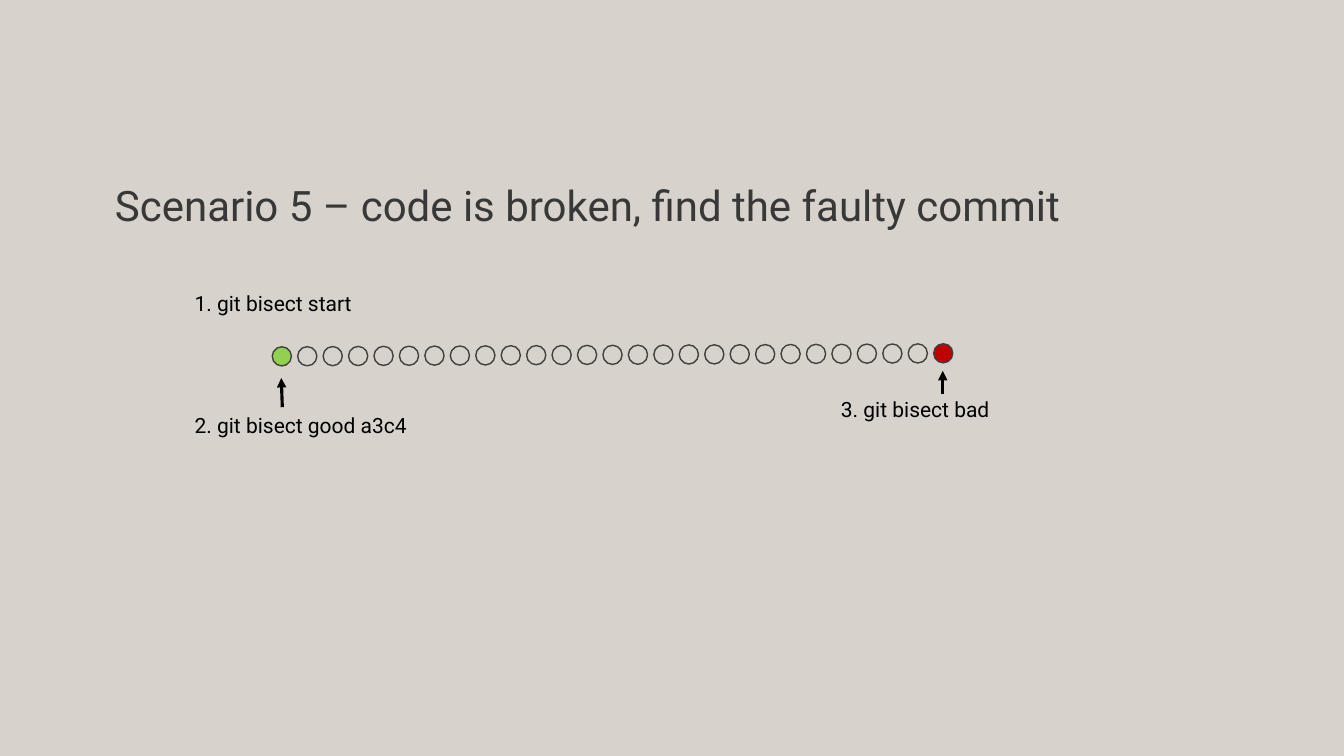
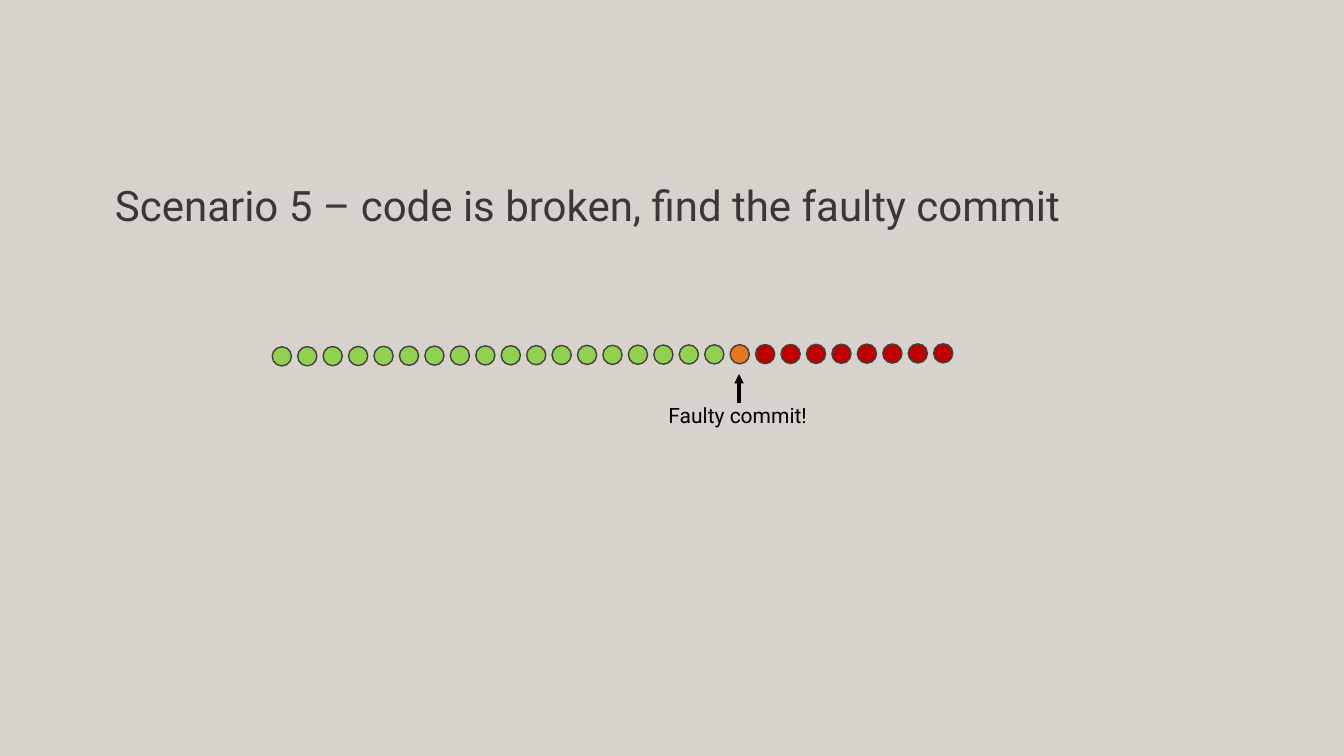
from lxml.etree import SubElement
from pptx import Presentation
from pptx.dml.color import RGBColor
from pptx.enum.shapes import MSO_CONNECTOR as Connector, MSO_SHAPE as Shape
from pptx.enum.text import MSO_ANCHOR as Anchor, MSO_AUTO_SIZE as AutoSize, PP_ALIGN as Align
from pptx.oxml.ns import qn
from pptx.util import Inches, Pt

TITLE = "Scenario 5 – code is broken, find the faulty commit"
BACKGROUND, OUTLINE, TITLE_INK, INK = "D7D2CB", "404040", "383838", "000000"
GOOD, BAD, FAULTY, UNTESTED = "92D050", "C00000", "E87722", BACKGROUND
COMMIT_COUNT = 27
FIRST_COMMIT, LAST_COMMIT = (2.7, 3.44), (9.26, 3.41)
COMMIT_SIZE = 0.19


def color(code):
    """Turn a hex string into a colour."""
    return RGBColor.from_string(code)


def set_values(target, values):
    """Set each attribute named in a dict of format values."""
    for name, value in values.items():
        setattr(target, name, value)


class Deck:
    """Holds the shared style and the current slide."""

    def __init__(self):
        """Start a widescreen presentation with the shared background."""
        self.presentation = Presentation()
        set_values(self.presentation, {"slide_width": Inches(13.33), "slide_height": Inches(7.5)})
        fill = self.presentation.slide_master.background.fill
        fill.solid()
        fill.fore_color.rgb = color(BACKGROUND)
        self.slide = None

    def set_text(self, paragraph, text, size, ink):
        """Fill a paragraph with text in the shared font."""
        paragraph.text = text
        set_values(paragraph.font, {"name": "Roboto", "size": Pt(size)})
        paragraph.font.color.rgb = color(ink)

    def add_slide(self, text):
        """Add a slide with a title."""
        self.slide = self.presentation.slides.add_slide(self.presentation.slide_layouts[5])
        title = self.slide.shapes.title
        set_values(title, {"left": Inches(1.04), "top": Inches(0.41),
                           "width": Inches(11.26), "height": Inches(1.93)})
        set_values(title.text_frame, {"vertical_anchor": Anchor.BOTTOM, "word_wrap": True,
                                      "auto_size": AutoSize.NONE})
        heading = title.text_frame.paragraphs[0]
        self.set_text(heading, text, 30, TITLE_INK)
        set_values(heading, {"alignment": Align.LEFT, "line_spacing": 0.9})

    def add_commit(self, left, top, status):
        """Add one commit circle filled by its status."""
        commit = self.slide.shapes.add_shape(
            Shape.FLOWCHART_CONNECTOR, Inches(left), Inches(top),
            Inches(COMMIT_SIZE), Inches(COMMIT_SIZE))
        commit.shadow.inherit = False
        commit.fill.solid()
        commit.fill.fore_color.rgb = color(status)
        commit.line.color.rgb = color(OUTLINE)
        commit.line.width = Pt(1)

    def add_history(self, statuses):
        """Add evenly spaced commits along the slightly rising history."""
        for index, status in enumerate(statuses):
            share = index / (len(statuses) - 1)
            left, top = (start + (end - start) * share
                         for start, end in zip(FIRST_COMMIT, LAST_COMMIT))
            self.add_commit(left, top, status)

    def add_arrow(self, start, end):
        """Add an arrow between two points."""
        arrow = self.slide.shapes.add_connector(
            Connector.STRAIGHT, *(Inches(length) for length in (*start, *end)))
        arrow.line.color.rgb = color(INK)
        arrow.line.width = Pt(2.25)
        properties = arrow.element.spPr
        SubElement(properties.find(qn("a:ln")), qn("a:tailEnd"), type="triangle")
        SubElement(properties, qn("a:effectLst"))

    def add_label(self, left, top, text, width=2.25):
        """Add a one-line label."""
        label = self.slide.shapes.add_textbox(
            Inches(left), Inches(top), Inches(width), Inches(0.33)).text_frame
        set_values(label, {"word_wrap": True, "auto_size": AutoSize.SHAPE_TO_FIT_TEXT,
                           "margin_left": Inches(0.07), "margin_right": Inches(0.07),
                           "margin_top": Inches(0.04), "margin_bottom": Inches(0.04)})
        self.set_text(label.paragraphs[0], text, 15, INK)


def main():
    """Build both slides and save them."""
    deck = Deck()

    deck.add_slide(TITLE)
    deck.add_history([GOOD] + [UNTESTED] * (COMMIT_COUNT - 2) + [BAD])
    deck.add_arrow((2.8, 4.04), (2.79, 3.75))
    deck.add_arrow((9.35, 3.91), (9.35, 3.68))
    deck.add_label(1.86, 2.84, "1. git bisect start")
    deck.add_label(1.86, 4.05, "2. git bisect good a3c4", width=2.59)
    deck.add_label(8.27, 3.89, "3. git bisect bad")

    good_count = 18
    deck.add_slide(TITLE)
    deck.add_history([GOOD] * good_count + [FAULTY] + [BAD] * (COMMIT_COUNT - good_count - 1))
    deck.add_arrow((7.33, 4), (7.33, 3.71))
    deck.add_label(6.56, 3.95, "Faulty commit!")

    deck.presentation.save("out.pptx")


if __name__ == "__main__":
    main()
